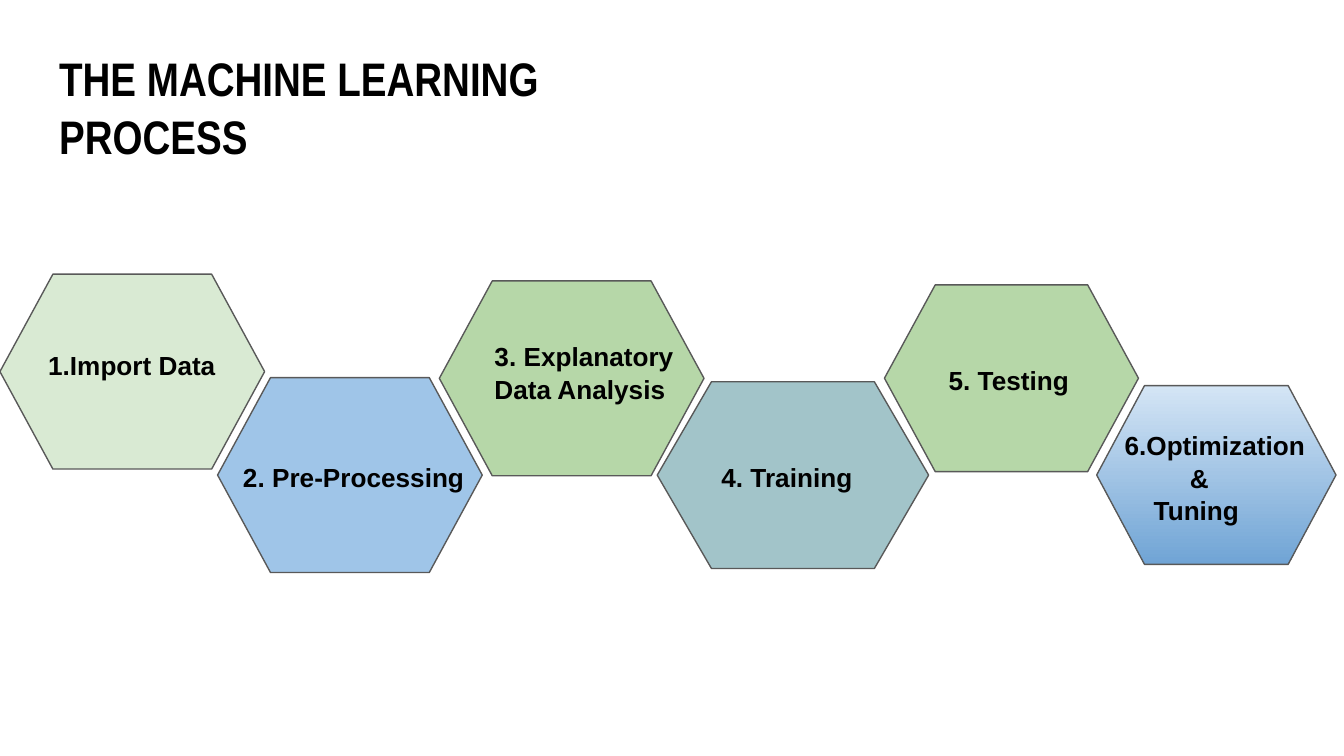
from dataclasses import dataclass

from pptx import Presentation
from pptx.dml.color import RGBColor
from pptx.enum import shapes, text
from pptx.util import Pt


@dataclass(frozen=True)
class Theme:
    ink: str = "000000"
    outline: str = "595959"
    mint: str = "D9EAD3"
    green: str = "B6D7A8"
    blue: str = "9FC5E8"
    teal: str = "A2C4C9"
    gradient: tuple = ("D4E5F5", "70A4D5")
    title_font: str = "Arial Narrow"
    label_font: str = "Arial"
    title_size: float = 25.2
    label_size: float = 14
    inset: float = 7.2


THEME = Theme()

HEXAGONS = [
    ((0, 146.9, 141.8, 104.4), THEME.mint),
    ((116.6, 202.3, 141.8, 104.4), THEME.blue),
    ((235.4, 150.5, 141.8, 104.4), THEME.green),
    ((352.1, 204.5, 145.4, 100.1), THEME.teal),
    ((473.8, 152.6, 136.1, 100.1), THEME.green),
    ((587.5, 206.6, 128.2, 95.8), THEME.gradient),
]

LABELS = [
    ((18.7, 179.3, 128.2, 31.7), [("1.Import Data", 0)]),
    ((123.1, 239, 151.2, 31.7), [("2. Pre-Processing", 0)]),
    ((257.8, 174.2, 116.6, 48.2), [("3. Explanatory", 0), ("Data Analysis", 0)]),
    ((379.4, 239, 94.3, 31.7), [("4. Training", 0)]),
    ((501.1, 187.2, 94.3, 31.7), [("5. Testing", 0)]),
    ((595.4, 221.8, 115.9, 65.5),
     [("6.Optimization", 0), ("&", 35), ("Tuning", 15.6)]),
]


def points(box):
    return [Pt(length) for length in box]


def write_lines(frame, lines, font, size, spacing):
    frame.word_wrap = True
    frame.margin_left = frame.margin_right = Pt(THEME.inset)
    frame.margin_top = frame.margin_bottom = Pt(THEME.inset)
    for index, (words, indent) in enumerate(lines):
        paragraph = frame.add_paragraph() if index else frame.paragraphs[0]
        paragraph.alignment = text.PP_ALIGN.LEFT
        paragraph.line_spacing = spacing
        paragraph.space_before = paragraph.space_after = Pt(0)
        if indent:
            paragraph_properties = paragraph._p.get_or_add_pPr()
            paragraph_properties.set("marL", str(Pt(indent)))
        run = paragraph.add_run()
        run.text = words
        run.font.name = font
        run.font.size = Pt(size)
        run.font.bold = True
        run.font.color.rgb = RGBColor.from_string(THEME.ink)


def place_title(slide, box, lines):
    title = slide.shapes.title
    title.left, title.top, title.width, title.height = points(box)
    frame = title.text_frame
    frame.auto_size = text.MSO_AUTO_SIZE.NONE
    frame.vertical_anchor = text.MSO_ANCHOR.MIDDLE
    write_lines(frame, lines, THEME.title_font, THEME.title_size, 1.04)


def add_hexagon(slide, box, color):
    shape = slide.shapes.add_shape(
        shapes.MSO_SHAPE.FLOWCHART_PREPARATION, *points(box))
    shape.shadow.inherit = False
    if isinstance(color, tuple):
        shape.fill.gradient()
        shape.fill.gradient_angle = 270
        for position, (stop, shade) in enumerate(zip(shape.fill.gradient_stops, color)):
            stop.position = position
            stop.color.rgb = RGBColor.from_string(shade)
    else:
        shape.fill.solid()
        shape.fill.fore_color.rgb = RGBColor.from_string(color)
    shape.line.color.rgb = RGBColor.from_string(THEME.outline)
    shape.line.width = Pt(0.75)


def add_label(slide, box, lines):
    frame = slide.shapes.add_textbox(*points(box)).text_frame
    frame.auto_size = text.MSO_AUTO_SIZE.SHAPE_TO_FIT_TEXT
    frame.vertical_anchor = text.MSO_ANCHOR.TOP
    write_lines(frame, lines, THEME.label_font, THEME.label_size, 1.05)


def main():
    presentation = Presentation()
    presentation.slide_width, presentation.slide_height = Pt(720), Pt(405)
    slide = presentation.slides.add_slide(presentation.slide_layouts[5])
    place_title(slide, (24.5, 18, 562.3, 77),
                [("THE MACHINE LEARNING", 0), ("PROCESS", 0)])
    for box, color in HEXAGONS:
        add_hexagon(slide, box, color)
    for box, lines in LABELS:
        add_label(slide, box, lines)
    presentation.save("out.pptx")


if __name__ == "__main__":
    main()
